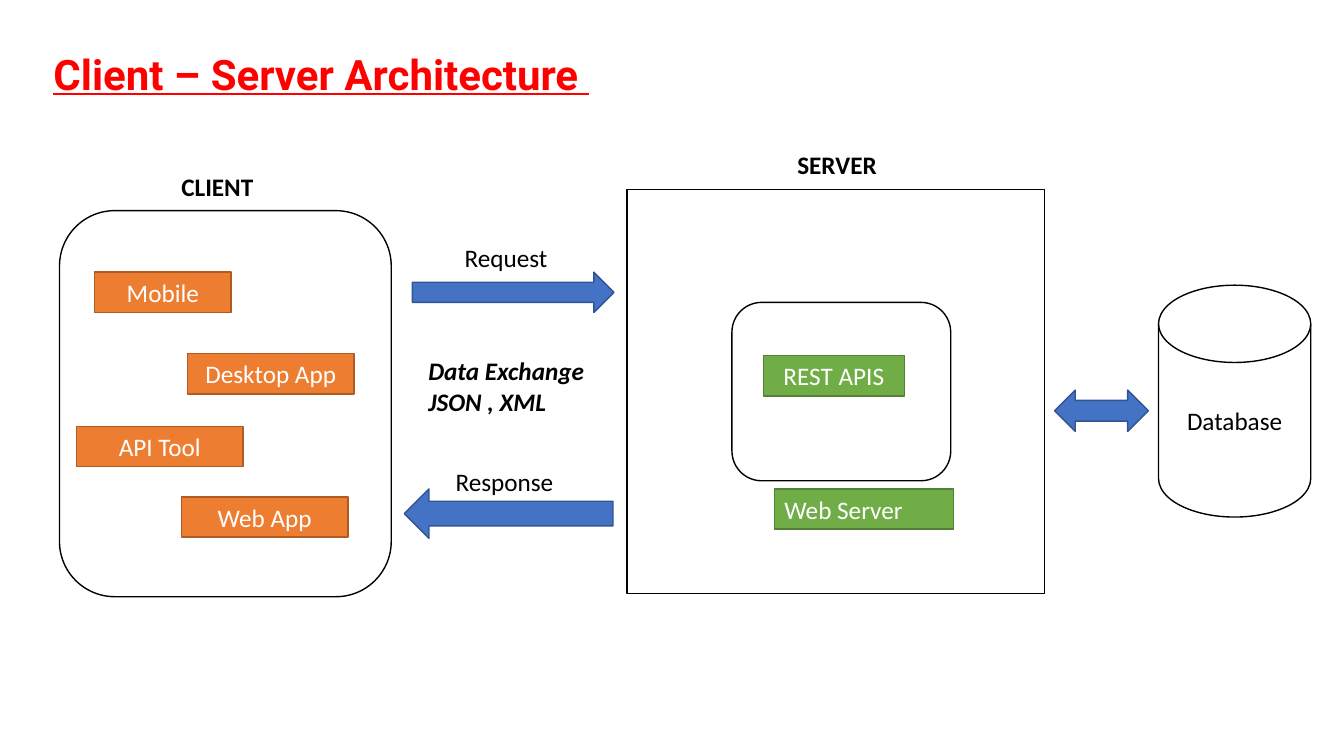
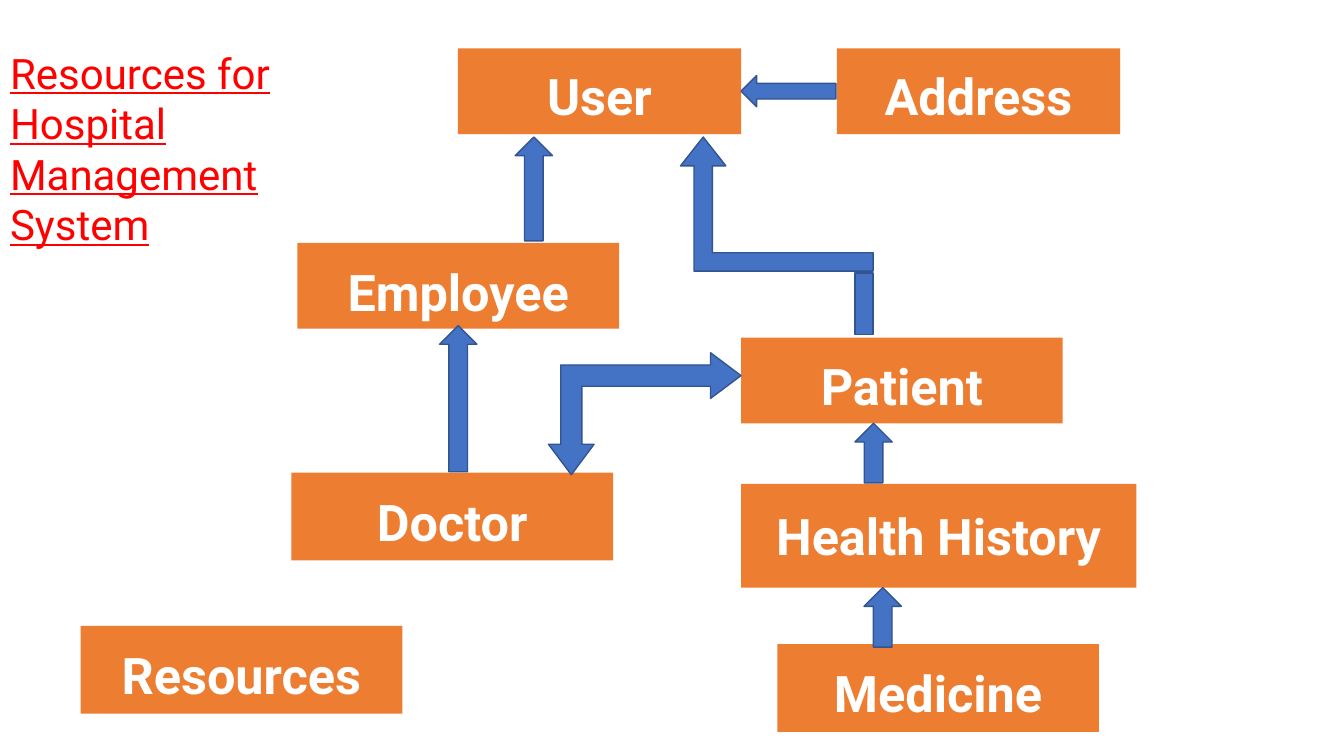
from dataclasses import dataclass

from pptx import Presentation
from pptx.dml.color import RGBColor
from pptx.enum.shapes import MSO_SHAPE
from pptx.enum.text import MSO_ANCHOR, MSO_AUTO_SIZE, PP_ALIGN
from pptx.util import Inches, Pt


@dataclass(frozen=True)
class Theme:
    red: str = "FF0000"
    black: str = "000000"
    white: str = "FFFFFF"
    orange: str = "ED7D31"
    orange_edge: str = "AF5C24"
    green: str = "70AD47"
    green_edge: str = "538035"
    blue: str = "4472C4"
    blue_edge: str = "325491"
    heading_font: str = "Roboto"
    body_font: str = "Calibri"
    title_size: int = 30
    resource_size: int = 36
    label_size: int = 18
    line_width: int = 1


class Deck:
    def __init__(self, theme):
        self.theme = theme
        self.presentation = Presentation()
        self.presentation.slide_width = Inches(13.33)
        self.presentation.slide_height = Inches(7.5)
        self.slide = None

    def set_text(self, frame, lines, size, color, font, bold=False, italic=False,
                 underline=False, align=PP_ALIGN.LEFT, anchor=MSO_ANCHOR.TOP):
        frame.word_wrap = True
        frame.auto_size = MSO_AUTO_SIZE.NONE
        frame.vertical_anchor = anchor
        for index, line in enumerate(lines):
            paragraph = frame.add_paragraph() if index else frame.paragraphs[0]
            paragraph.alignment = align
            run = paragraph.add_run()
            run.text = line
            run.font.name = font
            run.font.size = Pt(size)
            run.font.bold = bold
            run.font.italic = italic
            run.font.underline = underline
            run.font.color.rgb = RGBColor.from_string(color)

    def add_slide(self, title, box, bold=False):
        layout = self.presentation.slide_layouts.get_by_name("Title Only")
        self.slide = self.presentation.slides.add_slide(layout)
        heading = self.slide.shapes.title
        heading.left, heading.top, heading.width, heading.height = map(Inches, box)
        self.set_text(heading.text_frame, [title], self.theme.title_size, self.theme.red,
                      self.theme.heading_font, bold=bold, underline=True)

    def label(self, box, *lines, bold=False, italic=False):
        caption = self.slide.shapes.add_textbox(*map(Inches, box))
        self.set_text(caption.text_frame, lines, self.theme.label_size, self.theme.black,
                      self.theme.body_font, bold=bold, italic=italic)

    def block(self, kind, box, fill, edge=None):
        block = self.slide.shapes.add_shape(kind, *map(Inches, box))
        block.shadow.inherit = False
        block.fill.solid()
        block.fill.fore_color.rgb = RGBColor.from_string(fill)
        if edge:
            block.line.color.rgb = RGBColor.from_string(edge)
            block.line.width = Pt(self.theme.line_width)
        else:
            block.line.fill.background()
        return block

    def container(self, kind, box, text=None):
        holder = self.block(kind, box, self.theme.white, self.theme.black)
        if text:
            self.set_text(holder.text_frame, [text], self.theme.label_size, self.theme.black,
                          self.theme.body_font, align=PP_ALIGN.CENTER, anchor=MSO_ANCHOR.MIDDLE)

    def component(self, text, box, fill, edge, align=PP_ALIGN.CENTER):
        tag = self.block(MSO_SHAPE.RECTANGLE, box, fill, edge)
        self.set_text(tag.text_frame, [text], self.theme.label_size, self.theme.white,
                      self.theme.body_font, align=align)

    def resource(self, text, box, inset):
        card = self.block(MSO_SHAPE.RECTANGLE, box, self.theme.orange)
        card.text_frame.margin_top = Inches(inset)
        self.set_text(card.text_frame, [text], self.theme.resource_size, self.theme.white,
                      self.theme.heading_font, bold=True, align=PP_ALIGN.CENTER)

    def arrow(self, kind, box, proportions=(), flips=()):
        arrow = self.block(kind, box, self.theme.blue, self.theme.blue_edge)
        for index, proportion in enumerate(proportions):
            arrow.adjustments[index] = proportion
        for flip in flips:
            arrow._element.spPr.get_or_add_xfrm().set(flip, "1")


def build_architecture(deck):
    theme = deck.theme
    deck.add_slide("Client – Server Architecture ", (0.43, 0.43, 12.48, 0.61), bold=True)

    deck.container(MSO_SHAPE.FLOWCHART_MAGNETIC_DISK, (11.49, 2.83, 1.51, 2.3), "Database")

    deck.label((7.81, 1.43, 1.27, 0.4), "SERVER", bold=True)
    deck.container(MSO_SHAPE.RECTANGLE, (6.22, 1.88, 4.14, 4.01))
    deck.container(MSO_SHAPE.ROUNDED_RECTANGLE, (7.26, 3, 2.17, 1.77))
    deck.component("Web Server", (7.68, 4.85, 1.78, 0.4), theme.green, theme.green_edge,
                   PP_ALIGN.LEFT)
    deck.component("REST APIS", (7.57, 3.53, 1.4, 0.4), theme.green, theme.green_edge)

    deck.label((1.7, 1.65, 1.27, 0.4), "CLIENT", bold=True)
    deck.container(MSO_SHAPE.ROUNDED_RECTANGLE, (0.59, 2.09, 3.29, 3.83))
    clients = [
        ("Mobile", 0.94, 2.7, 1.35),
        ("Desktop App", 1.86, 3.51, 1.65),
        ("API Tool", 0.76, 4.23, 1.65),
        ("Web App", 1.8, 4.93, 1.65),
    ]
    for client, left, top, width in clients:
        deck.component(client, (left, top, width, 0.4), theme.orange, theme.orange_edge)

    deck.arrow(MSO_SHAPE.RIGHT_ARROW, (4.09, 2.7, 2, 0.4))
    deck.label((4.51, 2.36, 1.54, 0.4), "Request")
    deck.arrow(MSO_SHAPE.LEFT_ARROW, (4.01, 4.85, 2.07, 0.49))
    deck.label((4.42, 4.58, 1.96, 0.4), "Response")
    deck.arrow(MSO_SHAPE.LEFT_RIGHT_ARROW, (10.46, 3.87, 0.93, 0.41))
    deck.label((4.15, 3.48, 2.07, 0.71), "Data Exchange", "JSON , XML", bold=True, italic=True)


def build_resources(deck):
    deck.add_slide("Resources for Hospital Management System", (0, 0.42, 3.05, 2.12))

    resources = [
        ("Doctor", (2.89, 4.69, 3.19, 0.87), 0.18),
        ("Patient", (7.35, 3.35, 3.19, 0.85), 0.17),
        ("Address", (8.3, 0.48, 2.81, 0.85), 0.17),
        ("User", (4.54, 0.48, 2.81, 0.85), 0.17),
        ("Employee", (2.95, 2.41, 3.19, 0.85), 0.18),
        ("Health History", (7.35, 4.8, 3.92, 1.03), 0.21),
        ("Medicine", (7.71, 6.39, 3.19, 0.87), 0.18),
        ("Resources", (0.8, 6.21, 3.19, 0.87), 0.18),
    ]
    for resource, box, inset in resources:
        deck.resource(resource, box, inset)

    deck.arrow(MSO_SHAPE.LEFT_ARROW, (7.35, 0.75, 0.94, 0.31))
    upward_links = [
        (5.11, 1.36, 1.03),
        (4.36, 3.23, 1.45),
        (8.48, 4.2, 0.59),
        (8.57, 5.83, 0.59),
    ]
    for left, top, height in upward_links:
        deck.arrow(MSO_SHAPE.UP_ARROW, (left, top, 0.37, height))

    deck.arrow(MSO_SHAPE.BENT_UP_ARROW, (6.75, 1.36, 1.91, 1.33),
               (0.137, 0.169, 0.215), ("flipH",))
    deck.arrow(MSO_SHAPE.RECTANGLE, (8.48, 2.71, 0.18, 0.61))
    deck.arrow(MSO_SHAPE.LEFT_UP_ARROW, (5.44, 3.5, 1.91, 1.21),
               (0.174, 0.187, 0.25), ("flipH", "flipV"))


deck = Deck(Theme())
build_architecture(deck)
build_resources(deck)
deck.presentation.save("out.pptx")
